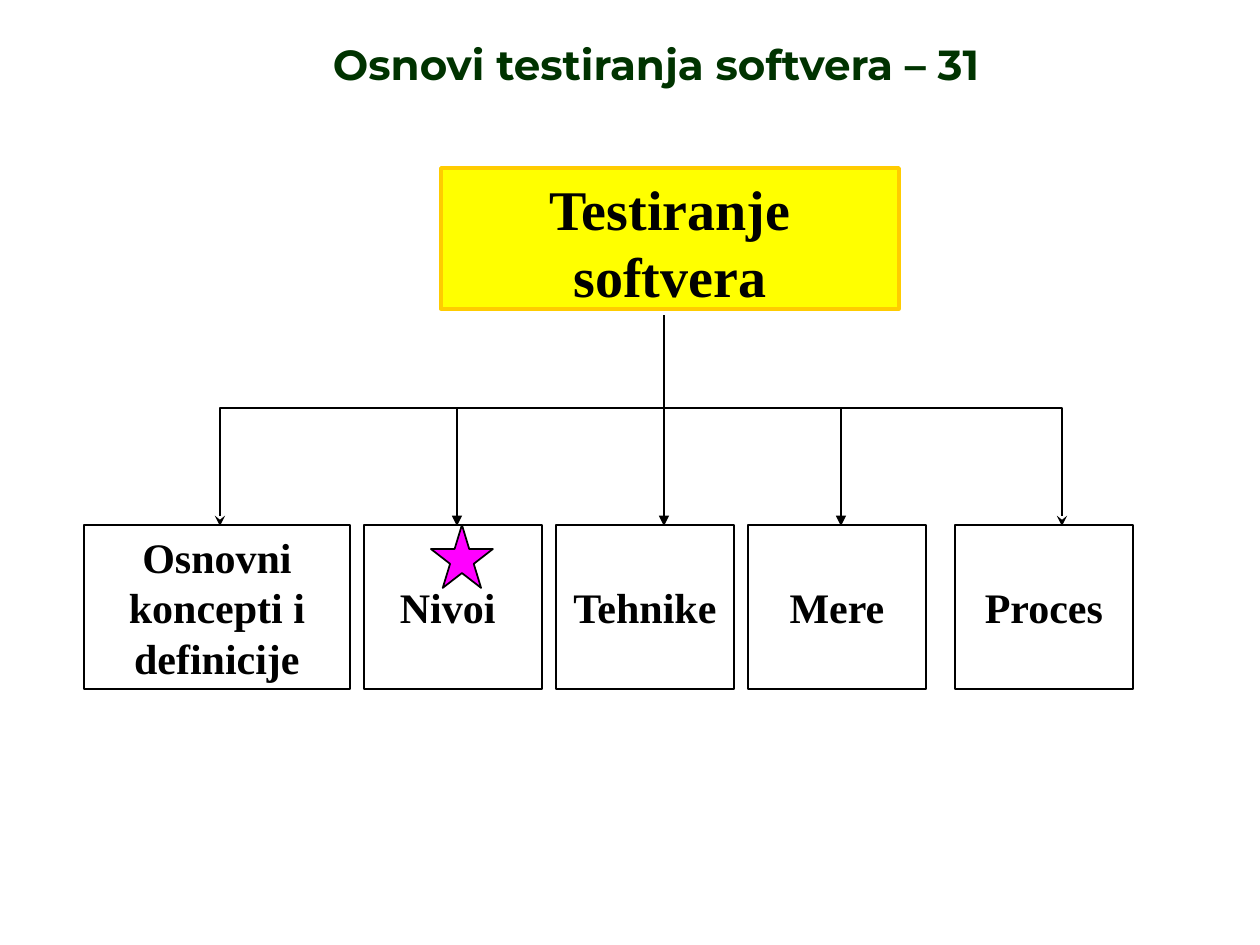
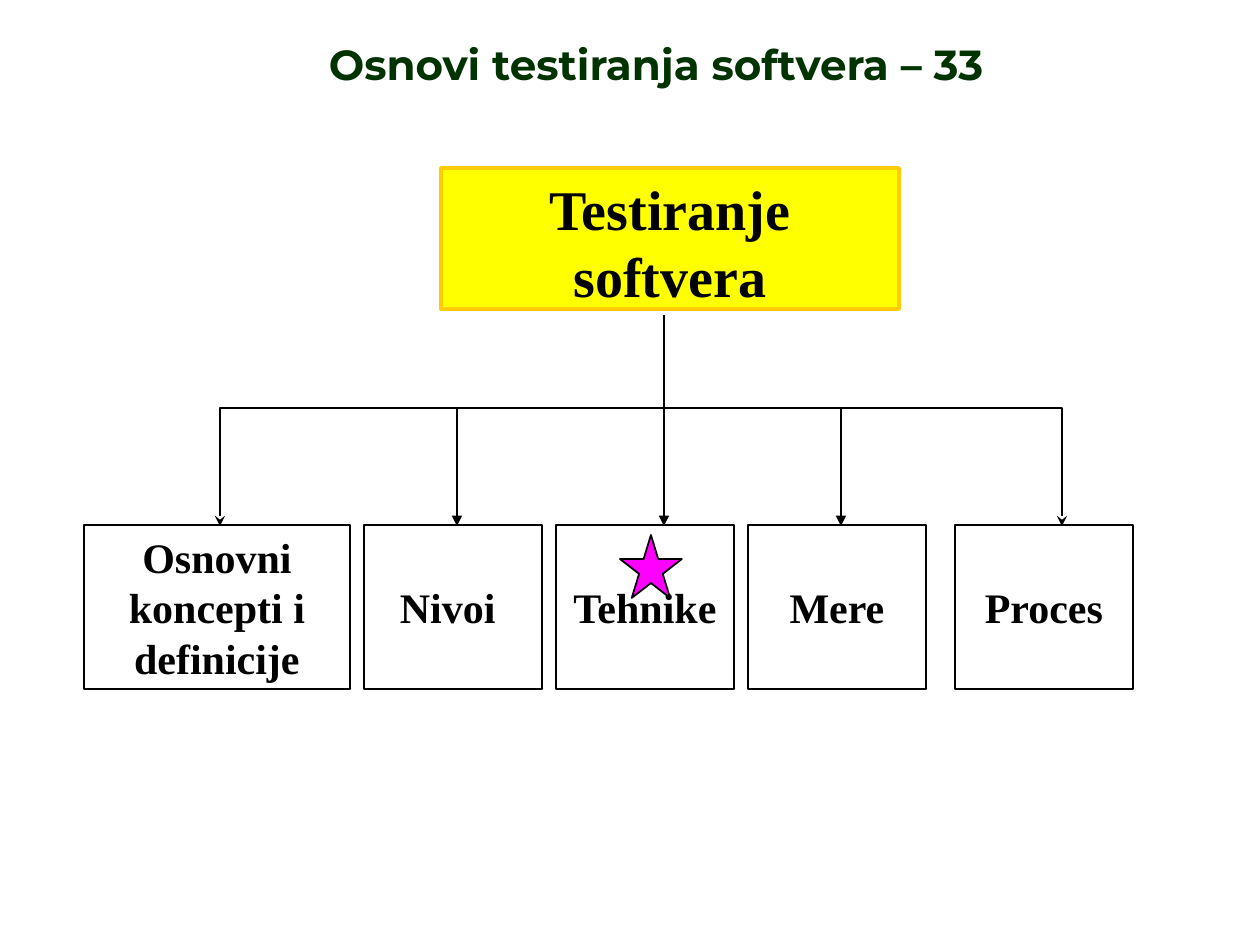
"""Build two slides that show the software testing topic tree with a star on the current topic."""
from lxml.etree import SubElement
from pptx import Presentation
from pptx.dml.color import RGBColor
from pptx.enum.shapes import MSO_CONNECTOR, MSO_SHAPE
from pptx.enum.text import MSO_ANCHOR, PP_ALIGN
from pptx.oxml.ns import qn
from pptx.util import Inches, Pt

PX = 7257
BLACK, WHITE, GREEN = "000000", "FFFFFF", "003300"
YELLOW, GOLD, MAGENTA = "FFFF00", "FFCC00", "FF00FF"
SERIF, SANS = "Times New Roman", "Montserrat"

TOPIC_TOP, TOPIC_HEIGHT = 525, 164
BRANCH_TOP, TRUNK = 408, 664
TOPICS = [
    ("Osnovni koncepti i definicije", 84, 266),
    ("Nivoi ", 364, 178),
    ("Tehnike ", 556, 178),
    ("Mere", 748, 178),
    ("Proces", 955, 178),
]
ELBOWS = [
    ([(TRUNK, 315), (TRUNK, BRANCH_TOP), (220, BRANCH_TOP), (220, TOPIC_TOP + 1)], 1),
    ([(TRUNK, BRANCH_TOP), (1062, BRANCH_TOP), (1062, TOPIC_TOP + 1)], 0.75),
]
SLIDES = [
    ("Osnovi testiranja softvera – 31", 431, 525),
    ("Osnovi testiranja softvera – 33", 620, 535),
]


def write(box, text, size, font, color, anchor):
    frame = box.text_frame
    frame.word_wrap = True
    frame.vertical_anchor = anchor
    para = frame.paragraphs[0]
    para.text = text
    para.alignment = PP_ALIGN.CENTER
    para.font.size = Pt(size)
    para.font.name = font
    para.font.bold = True
    para.font.color.rgb = RGBColor.from_string(color)
    if font == SERIF:
        para.line_spacing = Pt(size * 1.2)


def draw(shape, line, width, fill=None, arrow=None):
    shape.line.color.rgb = RGBColor.from_string(line)
    shape.line.width = Pt(width)
    if fill:
        shape.fill.solid()
        shape.fill.fore_color.rgb = RGBColor.from_string(fill)
    if arrow:
        SubElement(shape.line._get_or_add_ln(), qn("a:tailEnd"), type=arrow)
    SubElement(shape._element.spPr, qn("a:effectLst"))


deck = Presentation()
deck.slide_width, deck.slide_height = Inches(10), Inches(7.5)

for heading, star_left, star_top in SLIDES:
    page = deck.slides.add_slide(deck.slide_layouts[6])
    shapes = page.shapes

    root = shapes.add_shape(MSO_SHAPE.RECTANGLE, 441 * PX, 168 * PX, 458 * PX, 141 * PX)
    draw(root, GOLD, 2, YELLOW)
    write(root, "Testiranje softvera", 32, SERIF, BLACK, MSO_ANCHOR.TOP)

    for topic, left, width in TOPICS:
        box = shapes.add_shape(
            MSO_SHAPE.RECTANGLE, left * PX, TOPIC_TOP * PX, width * PX, TOPIC_HEIGHT * PX)
        draw(box, BLACK, 1.25, WHITE)
        write(box, topic, 24, SERIF, BLACK, MSO_ANCHOR.MIDDLE)

    for points, weight in ELBOWS:
        builder = shapes.build_freeform(*points[0], scale=PX)
        builder.add_line_segments(points[1:], close=False)
        elbow = builder.convert_to_shape()
        elbow.fill.background()
        draw(elbow, BLACK, weight, arrow="stealth")

    for x in (457, TRUNK, 841):
        branch = shapes.add_connector(
            MSO_CONNECTOR.STRAIGHT, x * PX, BRANCH_TOP * PX, x * PX, (TOPIC_TOP + 1) * PX)
        draw(branch, BLACK, 0.75, arrow="triangle")

    title = shapes.add_textbox(136 * PX, 32 * PX, 1040 * PX, 63 * PX)
    write(title, heading, 24, SANS, GREEN, MSO_ANCHOR.BOTTOM)

    star = shapes.add_shape(
        MSO_SHAPE.STAR_5_POINT, star_left * PX, star_top * PX, 62 * PX, 63 * PX)
    draw(star, BLACK, 1, MAGENTA)

deck.save("out.pptx")
